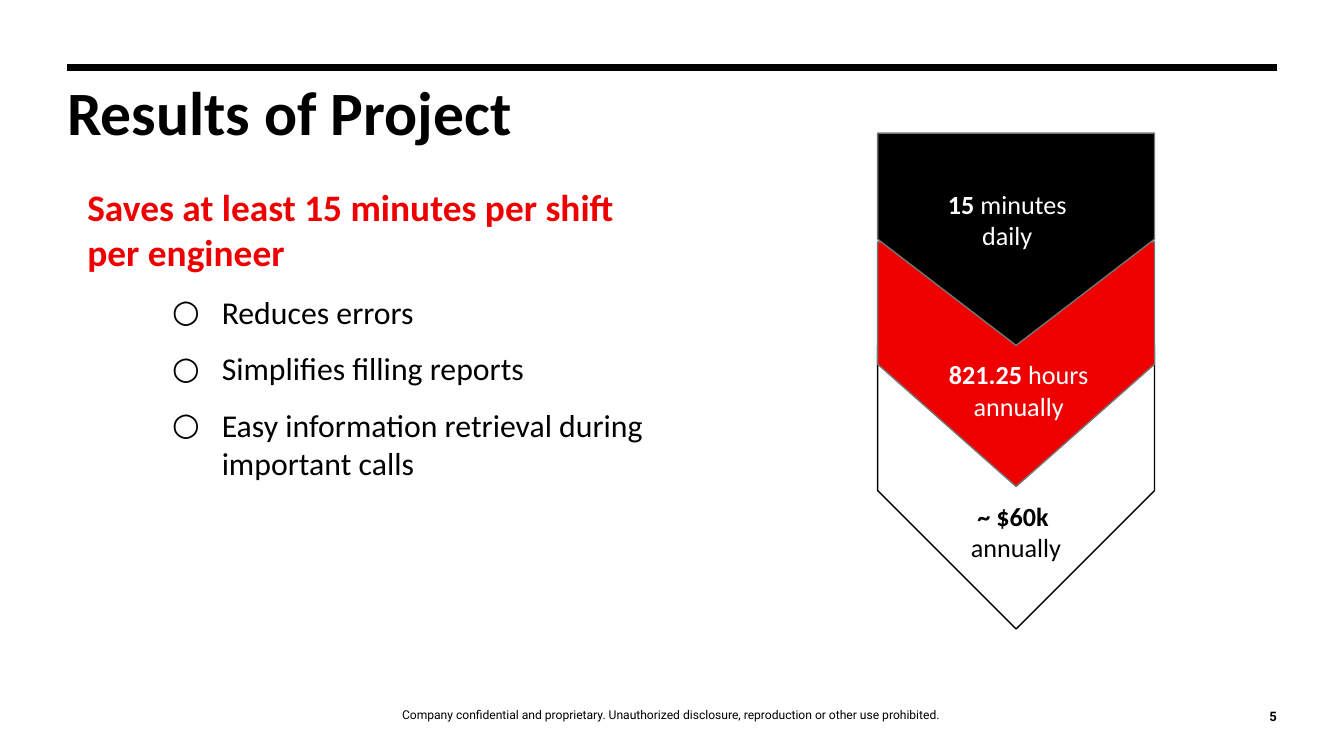
from lxml.etree import SubElement
from pptx import Presentation
from pptx.dml.color import RGBColor
from pptx.enum.shapes import MSO_CONNECTOR, MSO_SHAPE
from pptx.enum.text import MSO_ANCHOR, MSO_AUTO_SIZE, PP_ALIGN
from pptx.oxml.ns import qn
from pptx.util import Inches, Pt

COLORS = {"black": "000000", "white": "FFFFFF", "red": "EE0000", "gray": "747676"}


def color(name):
    return RGBColor.from_string(COLORS[name])


def place(shape, left, top, width, height):
    shape.left, shape.top = Inches(left), Inches(top)
    shape.width, shape.height = Inches(width), Inches(height)


def set_bullet(para, char=None, left=0, indent=0):
    """Give the paragraph a black bullet and indents, or no bullet."""
    props = para._p.get_or_add_pPr()
    props.set("marL", str(Inches(left)))
    props.set("indent", str(Inches(indent)))
    if char is None:
        SubElement(props, qn("a:buNone"))
        return
    bullet_color = SubElement(props, qn("a:buClr"))
    SubElement(bullet_color, qn("a:srgbClr")).set("val", COLORS["black"])
    SubElement(props, qn("a:buFont")).set("typeface", "Roboto")
    SubElement(props, qn("a:buChar")).set("char", char)


def format_frame(frame, inset=0.1, anchor=MSO_ANCHOR.TOP):
    frame.word_wrap = True
    frame.auto_size = MSO_AUTO_SIZE.NONE
    frame.vertical_anchor = anchor
    frame.margin_left = frame.margin_right = Inches(inset)
    frame.margin_top = frame.margin_bottom = Inches(inset)


def write(para, text, size=14, font="Calibri", fill="black", bold=False,
          align=PP_ALIGN.LEFT, spacing=1.0, before=0, after=0):
    """Add one run to the paragraph and format both."""
    para.alignment, para.line_spacing = align, spacing
    para.space_before, para.space_after = Pt(before), Pt(after)
    span = para.add_run()
    span.text = text
    span.font.size, span.font.name, span.font.bold = Pt(size), font, bold
    span.font.color.rgb = color(fill)


def add_text_box(page, box, **frame_format):
    frame = page.shapes.add_textbox(*map(Inches, box)).text_frame
    format_frame(frame, **frame_format)
    return frame


def add_header(page, left, top, width):
    rule = page.shapes.add_connector(
        MSO_CONNECTOR.STRAIGHT, Inches(left), Inches(top),
        Inches(left + width), Inches(top))
    rule.line.color.rgb, rule.line.width = color("black"), Pt(3.75)
    SubElement(rule._element.spPr, qn("a:effectLst"))
    title = page.shapes.title
    place(title, left, top + 0.07, 7.75, 0.62)
    format_frame(title.text_frame, inset=0, anchor=MSO_ANCHOR.MIDDLE)
    write(title.text_frame.paragraphs[0], "Results of Project",
          size=33, bold=True, spacing=0.8)


def add_benefits(page, left, top, width, height):
    body = page.placeholders[1]
    place(body, left, top, width, height)
    frame = body.text_frame
    format_frame(frame)
    heading = frame.paragraphs[0]
    set_bullet(heading)
    write(heading, "Saves at least 15 minutes per shift per engineer",
          size=20, fill="red", bold=True)
    benefits = ["Reduces errors", "Simplifies filling reports",
                "Easy information retrieval during important calls"]
    for benefit in benefits:
        para = frame.add_paragraph()
        para.level = 1
        set_bullet(para, "○", left=1, indent=-0.37)
        write(para, benefit, size=17, before=10,
              after=10 if benefit == benefits[-1] else 0)


def add_arrow(page, left, top, width, height, fill, line):
    """Add a pentagon pointing down that fills the given box."""
    arrow = page.shapes.add_shape(MSO_SHAPE.PENTAGON, 0, 0, 0, 0)
    place(arrow, left + (width - height) / 2, top + (height - width) / 2,
          height, width)
    arrow.rotation = 90
    arrow.shadow.inherit = False
    arrow.fill.solid()
    arrow.fill.fore_color.rgb = color(fill)
    arrow.line.color.rgb, arrow.line.width = color(line), Pt(0.75)


def add_savings(page, left, top, width):
    """Stack the three savings arrows, the topmost one in front."""
    # arrow top, arrow height, fill, line
    arrows = [(1.58, 2.11, "white", "black"),
              (0.81, 1.82, "red", "gray"),
              (0, 1.58, "black", "gray")]
    for offset, height, fill, line in arrows:
        add_arrow(page, left, top + offset, width, height, fill, line)

    # label left, top, width, font colour, lines of (bold, regular) text
    labels = [(0.29, 0.31, 1.35, "white", [("15 ", "minutes daily")]),
              (0.23, 1.58, 1.64, "white", [("821.25 ", "hours"), ("", "annually")]),
              (0.21, 2.63, 1.64, "black", [("~ $60k ", ""), ("", "annually")])]
    for x, y, label_width, fill, lines in labels:
        frame = add_text_box(page, (left + x, top + y, label_width, 0.62))
        for index, parts in enumerate(lines):
            para = frame.add_paragraph() if index else frame.paragraphs[0]
            for text, bold in zip(parts, (True, False)):
                if text:
                    write(para, text, fill=fill, bold=bold, align=PP_ALIGN.CENTER)


def add_footer(page, left, top, width):
    notice = add_text_box(page, (left + 0.6, top, 7.79, 0.33),
                          inset=0, anchor=MSO_ANCHOR.BOTTOM)
    write(notice.paragraphs[0],
          "Company confidential and proprietary. Unauthorized disclosure, "
          "reproduction or other use prohibited.",
          size=6.5, font="Roboto", align=PP_ALIGN.CENTER, spacing=1.14)
    number = add_text_box(page, (left + width - 0.25, top + 0.1, 0.25, 0.25),
                          inset=0, anchor=MSO_ANCHOR.BOTTOM)
    write(number.paragraphs[0], "5", size=7, font="Roboto", bold=True,
          align=PP_ALIGN.RIGHT)


def main():
    deck = Presentation()
    deck.slide_width = Inches(10)
    deck.slide_height = deck.slide_width * 9 // 16
    page = deck.slides.add_slide(deck.slide_layouts[1])
    add_header(page, 0.5, 0.5, 9)
    add_benefits(page, 0.55, 1.27, 4.45, 3.7)
    add_savings(page, 6.53, 0.99, 2.06)
    add_footer(page, 0.5, 5.04, 9)
    deck.save("out.pptx")


if __name__ == "__main__":
    main()
